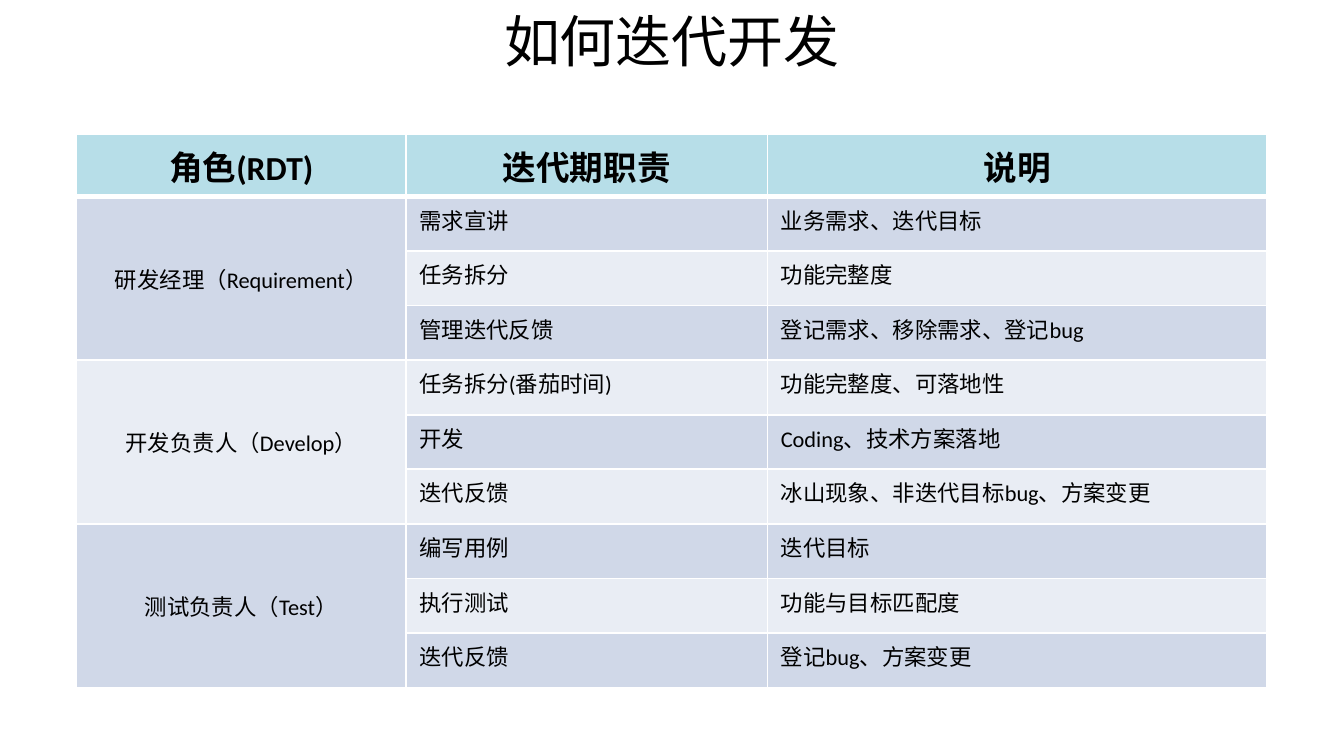
from dataclasses import dataclass

from lxml.etree import SubElement
from pptx import Presentation
from pptx.dml.color import RGBColor as RGB
from pptx.enum.text import MSO_ANCHOR as ANCHOR, MSO_AUTO_SIZE as AUTO, PP_ALIGN as ALIGN
from pptx.oxml.ns import qn
from pptx.util import Inches, Pt


@dataclass(frozen=True)
class Theme:
    latin: str = "Calibri"
    cjk: str = "Noto Sans CJK SC"
    ink: str = "000000"
    header: str = "B7DEE8"
    bands: tuple = ("D0D8E8", "E9EDF4")
    rule: str = "FFFFFF"
    title_size: int = 30
    header_size: int = 18
    body_size: int = 12
    thin: int = 1
    thick: int = 3


THEME = Theme()
SLIDE_WIDTH = 10
SLIDE_HEIGHT = SLIDE_WIDTH * 9 / 16
HEADINGS = ("角色(RDT)", "迭代期职责", "说明")
ROLES = (
    ("研发经理（Requirement）", (
        ("需求宣讲", "业务需求、迭代目标"),
        ("任务拆分", "功能完整度"),
        ("管理迭代反馈", "登记需求、移除需求、登记bug"),
    )),
    ("开发负责人（Develop）", (
        ("任务拆分(番茄时间)", "功能完整度、可落地性"),
        ("开发", "Coding、技术方案落地"),
        ("迭代反馈", "冰山现象、非迭代目标bug、方案变更"),
    )),
    ("测试负责人（Test）", (
        ("编写用例", "迭代目标"),
        ("执行测试", "功能与目标匹配度"),
        ("迭代反馈", "登记bug、方案变更"),
    )),
)
COLUMN_WIDTHS = (2.45, 2.69, 3.72)


def write(frame, text, size=THEME.body_size, bold=False, align=ALIGN.LEFT, latin=THEME.latin):
    paragraph = frame.paragraphs[0]
    paragraph.alignment = align
    run = paragraph.add_run()
    run.text = text
    font = run.font
    font.size, font.bold, font.name = Pt(size), bold, latin
    font.color.rgb = RGB.from_string(THEME.ink)
    # East Asian characters take their own typeface
    east_asian = SubElement(run._r.get_or_add_rPr(), qn("a:ea"))
    east_asian.set("typeface", THEME.cjk)


def style_cell(cell, color, top=THEME.thin, bottom=THEME.thin):
    # Borders come before the fill in the cell properties
    properties = cell._tc.get_or_add_tcPr()
    sides = {"lnL": THEME.thin, "lnR": THEME.thin, "lnT": top, "lnB": bottom}
    for side, width in sides.items():
        line = SubElement(properties, qn(f"a:{side}"), w=str(Pt(width)))
        fill = SubElement(line, qn("a:solidFill"))
        SubElement(fill, qn("a:srgbClr"), val=THEME.rule)
    cell.fill.solid()
    cell.fill.fore_color.rgb = RGB.from_string(color)


def place_title(slide, text, left, top, width, height):
    title = slide.shapes.title
    title.left, title.top = Inches(left), Inches(top)
    title.width, title.height = Inches(width), Inches(height)
    frame = title.text_frame
    frame.auto_size = AUTO.NONE
    frame.vertical_anchor = ANCHOR.MIDDLE
    frame.margin_bottom = 0
    write(frame, text, size=THEME.title_size, align=ALIGN.CENTER, latin=THEME.cjk)


def place_roles_table(slide, left, top, width, height):
    row_count = 1 + sum(len(duties) for _, duties in ROLES)
    table = slide.shapes.add_table(
        row_count, len(HEADINGS), Inches(left), Inches(top), Inches(width), Inches(height)
    ).table
    table.first_row = table.horz_banding = False
    for column, share in zip(table.columns, COLUMN_WIDTHS):
        column.width = Inches(width * share / sum(COLUMN_WIDTHS))

    # Header row
    for column, heading in enumerate(HEADINGS):
        cell = table.cell(0, column)
        style_cell(cell, THEME.header, bottom=THEME.thick)
        write(cell.text_frame, heading, size=THEME.header_size, bold=True, align=ALIGN.CENTER)

    # One merged role cell beside each group of duties
    row = 1
    for role, duties in ROLES:
        role_cell = table.cell(row, 0)
        role_cell.merge(table.cell(row + len(duties) - 1, 0))
        role_cell.vertical_anchor = ANCHOR.MIDDLE
        write(role_cell.text_frame, role, align=ALIGN.CENTER)
        role_color = THEME.bands[(row - 1) % 2]
        for duty in duties:
            top_rule = THEME.thick if row == 1 else THEME.thin
            band = THEME.bands[(row - 1) % 2]
            style_cell(table.cell(row, 0), role_color, top=top_rule)
            for column, text in enumerate(duty, start=1):
                cell = table.cell(row, column)
                style_cell(cell, band, top=top_rule)
                write(cell.text_frame, text)
            row += 1


def main():
    deck = Presentation()
    deck.slide_width, deck.slide_height = Inches(SLIDE_WIDTH), Inches(SLIDE_HEIGHT)
    slide = deck.slides.add_slide(deck.slide_layouts.get_by_name("Title Only"))
    place_title(slide, "如何迭代开发", 0, 0, SLIDE_WIDTH, 0.55)
    place_roles_table(slide, 0.57, 1, 8.86, 4.06)
    deck.save("out.pptx")


if __name__ == "__main__":
    main()
